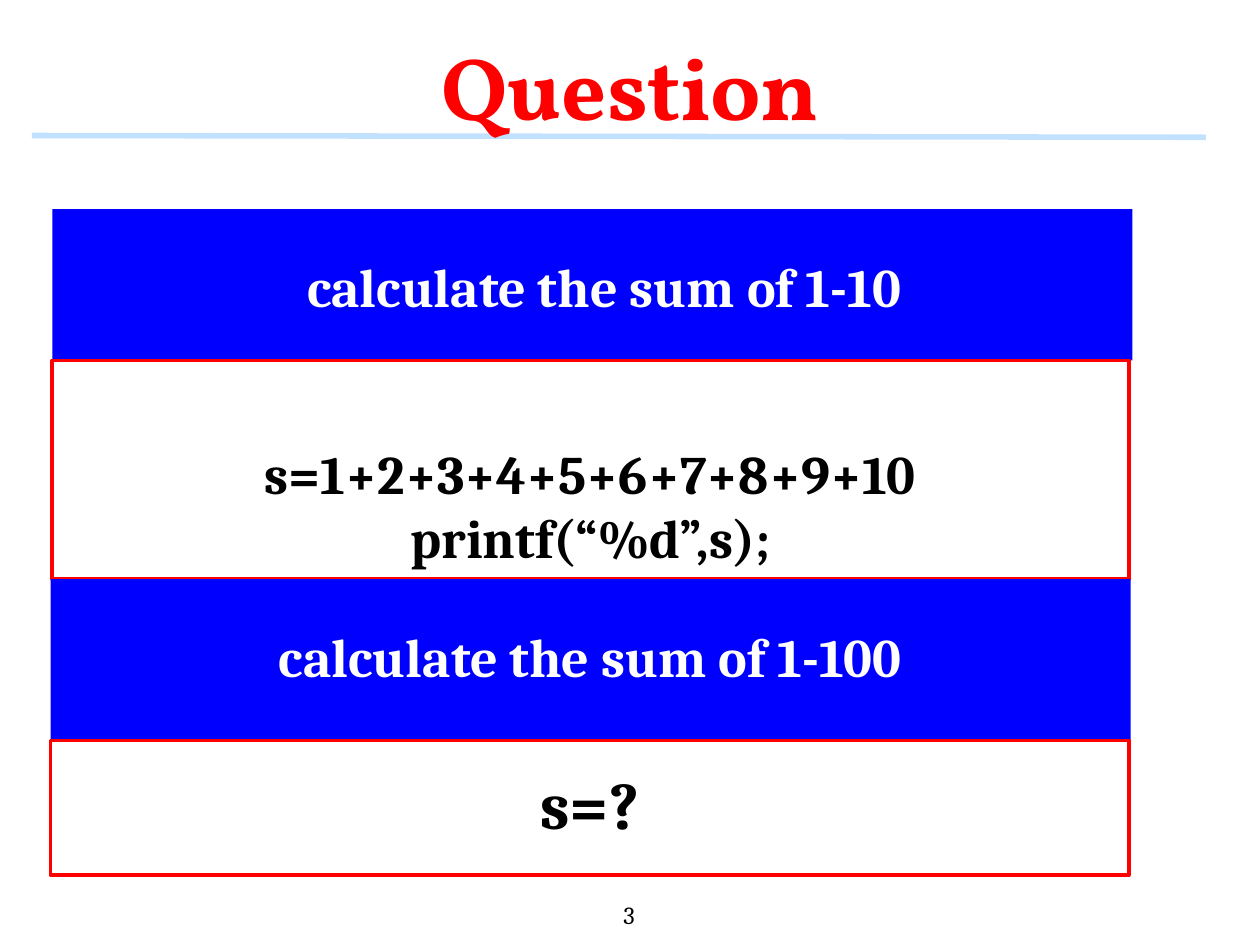
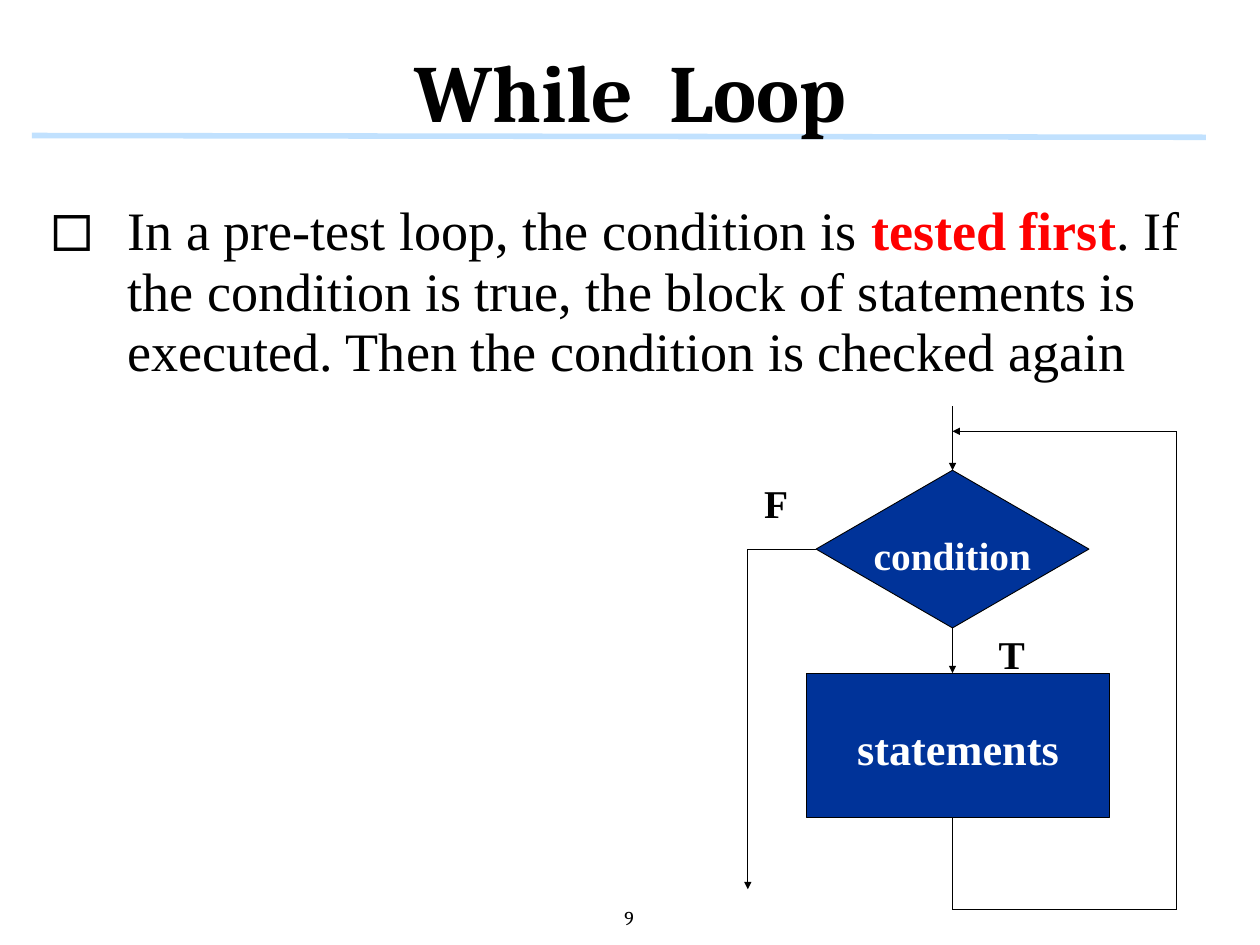
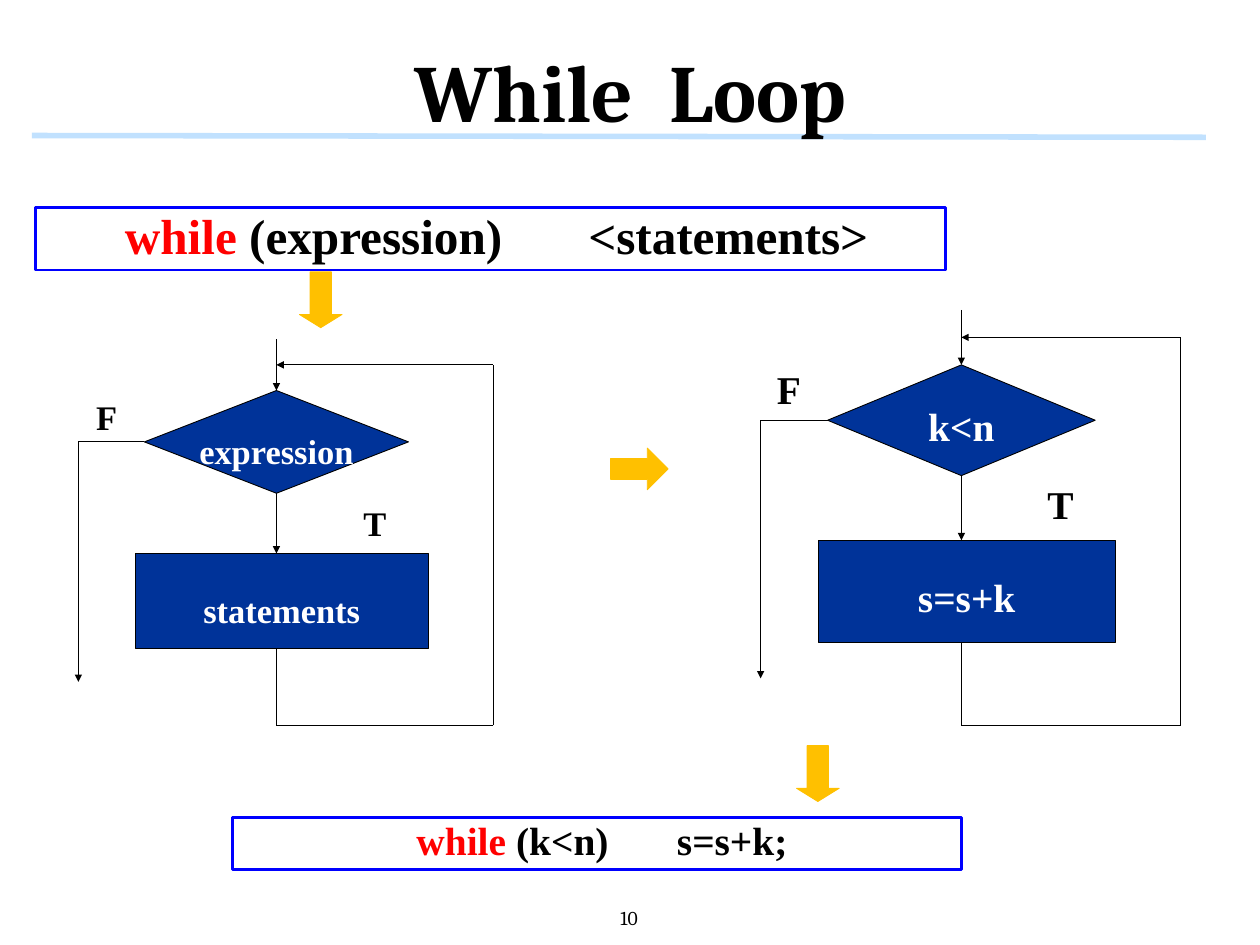
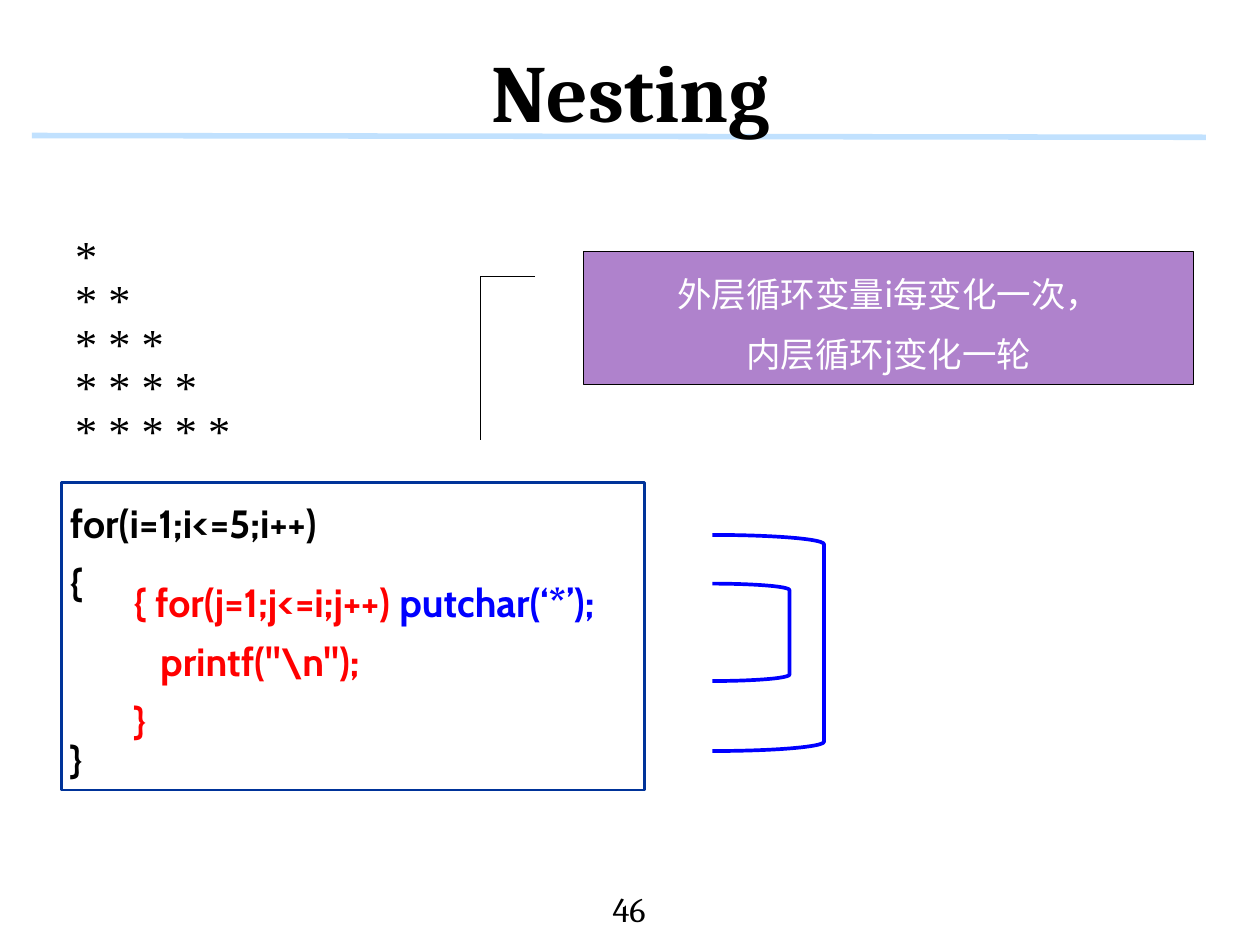
from lxml import etree
from pptx import Presentation
from pptx import util as u
from pptx.dml.color import RGBColor
from pptx.enum import shapes, text
from pptx.oxml import ns

BLACK, WHITE, RED, BLUE = "000000", "FFFFFF", "FF0000", "0000FF"
NAVY, GOLD, PLUM, SKY = "003399", "FFC000", "AF82CC", "C1E1FE"
SERIF, TIMES, CABIN, HAN = "Cambria", "Times New Roman", "Cabin", "Noto Sans CJK SC"
FORM = shapes.MSO_SHAPE
MID, TOP = text.MSO_ANCHOR.MIDDLE, text.MSO_ANCHOR.TOP
LEFT, MIDST = text.PP_ALIGN.LEFT, text.PP_ALIGN.CENTER
INSET = (0.1, 0.05, 0.1, 0.05)


def tint(code):
    return RGBColor.from_string(code)


def node(host, tag, **marks):
    return etree.SubElement(host, ns.qn("a:" + tag), **marks)


def place(item, box):
    item.left, item.top, item.width, item.height = map(u.Inches, box)


class Deck:
    def __init__(self):
        self.show = Presentation()
        self.show.slide_width = u.Inches(14.22)
        self.show.slide_height = u.Inches(10.67)

    def page(self, title, number, size=16, hue=BLACK, face=SERIF, points=66, layout=5):
        self.slide = self.show.slides.add_slide(self.show.slide_layouts[layout])
        head = self.slide.shapes.title
        place(head, (0.01, 0.06, 14.21, 1.67))
        words = [[(part, hue) for part in title]]
        self.letter(head, words, points, face, line=u.Pt(96), inset=(0, 0, 0, 0))
        for run in head.text_frame.paragraphs[0].runs[1:-1]:
            run.font._element.set("spc", "1450")
        rule = self.line((0.36, 1.53), (13.61, 1.55), SKY, 4.5)
        self.slide.shapes._spTree.insert(2, rule._element)
        self.label((6.94, 10.19, 0.32, 0.35), [[(number, BLACK)]], size, SERIF,
                   bold=False, line=u.Pt(19), inset=(0.04,) * 4, wrap=False)

    def letter(self, item, lines, size, face=TIMES, bold=True, align=MIDST,
               line=u.Pt(48), anchor=MID, inset=INSET, wrap=True, gap=0):
        frame = item.text_frame
        frame.auto_size = text.MSO_AUTO_SIZE.NONE
        frame.word_wrap = wrap
        frame.vertical_anchor = anchor
        (frame.margin_left, frame.margin_top,
         frame.margin_right, frame.margin_bottom) = map(u.Inches, inset)
        for row, parts in enumerate(lines):
            para = frame.add_paragraph() if row else frame.paragraphs[0]
            para.alignment = align
            para.line_spacing = line
            para.space_before = u.Pt(gap if row else 0)
            para.space_after = u.Pt(0)
            for words, hue, *heavy in parts:
                run = para.add_run()
                run.text = words
                font = run.font
                font.name, font.size = face, u.Pt(size)
                font.bold = heavy[0] if heavy else bold
                font.color.rgb = tint(hue)
                node(font._element, "ea", typeface=face)
        return frame

    def label(self, box, lines, size, face=TIMES, **style):
        item = self.slide.shapes.add_textbox(*map(u.Inches, box))
        return self.letter(item, lines, size, face, **style)

    def shape(self, form, box, fill=None, edge=None, width=0.75, bends=()):
        item = self.slide.shapes.add_shape(form, *map(u.Inches, box))
        item.shadow.inherit = False
        if fill:
            item.fill.solid()
            item.fill.fore_color.rgb = tint(fill)
        else:
            item.fill.background()
        if edge:
            item.line.color.rgb = tint(edge)
            item.line.width = u.Pt(width)
        else:
            item.line.fill.background()
        for spot, bend in enumerate(bends):
            item.adjustments[spot] = bend
        return item

    def line(self, start, end, hue=BLACK, width=0.75, arrow=False):
        item = self.slide.shapes.add_connector(
            shapes.MSO_CONNECTOR.STRAIGHT, *map(u.Inches, (*start, *end)))
        item.line.color.rgb = tint(hue)
        item.line.width = u.Pt(width)
        if arrow:
            node(item.line._get_or_add_ln(), "tailEnd", type="triangle")
        node(item._element.spPr, "effectLst")
        return item

    def trail(self, *spots):
        for step, (start, end) in enumerate(zip(spots, spots[1:]), 2):
            self.line(start, end, arrow=step == len(spots))

    def bullet(self, parts, box, size):
        body = self.slide.placeholders[1]
        place(body, box)
        frame = self.letter(body, [parts], size, bold=False, align=LEFT,
                            line=u.Pt(49), inset=(0.06,) * 4)
        props = frame.paragraphs[0]._p.get_or_add_pPr()
        props.set("marL", str(u.Inches(1.07)))
        props.set("indent", str(u.Inches(-0.87)))
        node(props, "buSzPct", val="130000")
        node(props, "buChar", char="◻")

    def syntax(self, box, test, action, size, start, stop):
        item = self.shape(FORM.RECTANGLE, box, edge=BLUE, width=2.25)
        parts = [("while", RED), (f" {test}\t{action}", BLACK)]
        frame = self.letter(item, [parts], size, align=LEFT, line=0.9,
                            anchor=TOP, inset=(start, 0.05, 0, 0.05))
        tabs = node(frame.paragraphs[0]._p.get_or_add_pPr(), "tabLst")
        node(tabs, "tab", pos=str(u.Inches(stop)), algn="l")

    def flow(self, mid, wide, test, action, top, join, gem, box, leave, end, true, sizes):
        gem_top, gem_high = gem
        box_top, box_high = box
        half = gem_top + gem_high / 2
        foot = gem_top + gem_high
        side, back = mid - wide / 4 * 3, mid + wide * 0.82
        small, large = sizes
        self.trail((mid, foot), (mid, box_top))
        self.trail((mid, top), (mid, gem_top))
        self.trail((mid - wide / 2, half), (side, half), (side, leave))
        self.trail((mid, box_top + box_high), (mid, end), (back, end),
                   (back, join), (mid, join))
        cells = [
            (FORM.DIAMOND, (mid - wide / 2, gem_top, wide, gem_high), test, small),
            (FORM.RECTANGLE, (mid - wide * 0.535, box_top, wide * 1.11, box_high),
             action, large)]
        for form, area, words, size in cells:
            item = self.shape(form, area, NAVY, BLACK)
            self.letter(item, [[(words, WHITE)]], size, wrap=False)
        marks = [("T", *true), ("F", side + 0.32, half - gem_high / 3)]
        for words, left, high in marks:
            self.label((left - 0.3, high - 0.4, 0.6, 0.8), [[(words, BLACK)]],
                       small, wrap=False)

    def panel(self, box, words, size=44, hue=BLACK, fill=None, inset=(0, 0, 0, 0), line=0.9):
        item = self.shape(FORM.RECTANGLE, box, fill, None if fill else RED, 3)
        self.letter(item, [[(row, hue)] for row in words], size, SERIF,
                    line=line, inset=inset, gap=5)


def ask(deck):
    deck.page(["Question"], "3", 20, RED, "Vollkorn", 72)
    deck.panel((0.59, 2.36, 12.19, 1.71), ["calculate the sum of 1-10"], hue=WHITE,
               fill=BLUE, inset=(0.33, 0.06, 0.06, 0.06), line=u.Pt(55))
    deck.panel((0.59, 4.07, 12.15, 2.47), ["s=1+2+3+4+5+6+7+8+9+10", "printf(“%d”,s);"],
               inset=(0, 0.88, 0, 0))
    deck.panel((0.57, 6.54, 12.19, 1.82), ["calculate the sum of 1-100"], hue=WHITE, fill=BLUE)
    deck.panel((0.57, 8.36, 12.17, 1.52), ["s=?"], 54)


def pretest(deck):
    deck.page(["While", " ", "Loop"], "9", layout=1)
    deck.bullet([("In a pre-test loop, the condition is ", BLACK),
                 ("tested first", RED, True),
                 (". If the condition is true, the block of statements is executed. "
                  "Then the condition is checked again", BLACK)],
                (0.31, 1.71, 13.26, 3.17), 44)
    deck.flow(10.75, 3.08, "condition", "statements", 4.59, 4.87, (5.31, 1.78),
              (7.6, 1.63), 10.04, 10.27, (11.42, 7.31), (32, 36))


def compare(deck):
    deck.page(["While", " ", "Loop"], "10")
    deck.syntax((0.4, 2.34, 10.27, 0.71), "(expression)", "<statements>", 40, 1.01, 5.23)
    deck.flow(3.12, 2.98, "expression", "statements", 3.83, 4.12, (4.41, 1.16),
              (6.25, 1.07), 7.7, 8.19, (4.23, 5.8), (28, 28))
    deck.flow(10.85, 3.02, "k<n", "s=s+k", 3.5, 3.81, (4.12, 1.25),
              (6.1, 1.15), 7.66, 8.19, (11.97, 5.62), (32, 32))
    deck.shape(FORM.RIGHT_ARROW, (6.89, 5.06, 0.65, 0.47), GOLD, GOLD)
    for left, top in ((3.38, 3.07), (8.99, 8.42)):
        deck.shape(FORM.DOWN_ARROW, (left, top, 0.48, 0.63), GOLD, GOLD, bends=(0.5, 0.31))
    deck.syntax((2.62, 9.23, 8.23, 0.59), "(k<n)", "s=s+k;", 32, 2.08, 2.94)


def nest(deck):
    deck.page(["Nesting"], "46", 28)
    outer = deck.shape(FORM.RECTANGLE, (0.69, 5.45, 6.58, 3.47), edge=NAVY, width=2.25)
    code = [[(row, BLACK)] for row in ("for(i=1;i<=5;i++)", "{", "}")]
    frame = deck.letter(outer, code, 32, CABIN, align=LEFT, anchor=TOP)
    frame.paragraphs[2].space_before = u.Pt(96)
    stars = [[(" ".join("*" * count), BLACK)] for count in range(1, 6)]
    deck.label((0.75, 2.63, 2.09, 2.58), stars, 36, bold=False, align=LEFT, line=u.Pt(35.4))
    for top, wide, high in ((6.04, 1.26, 2.44), (6.59, 0.87, 1.1)):
        deck.shape(FORM.RIGHT_BRACKET, (8.04, top, wide, high), edge=BLUE, width=3)
    note = deck.shape(FORM.LINE_CALLOUT_2, (6.59, 2.84, 6.88, 1.5), PLUM, BLACK,
                      bends=(0.19, -0.08, 0.19, -0.17, 1.42, -0.17))
    deck.letter(note, [[("外层循环变量i每变化一次，", WHITE)], [("内层循环j变化一轮", WHITE)]],
                28, HAN, bold=False, anchor=TOP)
    deck.label((0.61, 6.34, 6.58, 2.12), [
        [("        { for(j=1;j<=i;j++) ", RED), ("putchar(‘*’);", BLUE)],
        [("           printf(\"\\n\");", RED)],
        [("        }", RED)]], 32, CABIN, align=LEFT, anchor=TOP)


def main():
    deck = Deck()
    for build in (ask, pretest, compare, nest):
        build(deck)
    deck.show.save("out.pptx")


if __name__ == "__main__":
    main()
